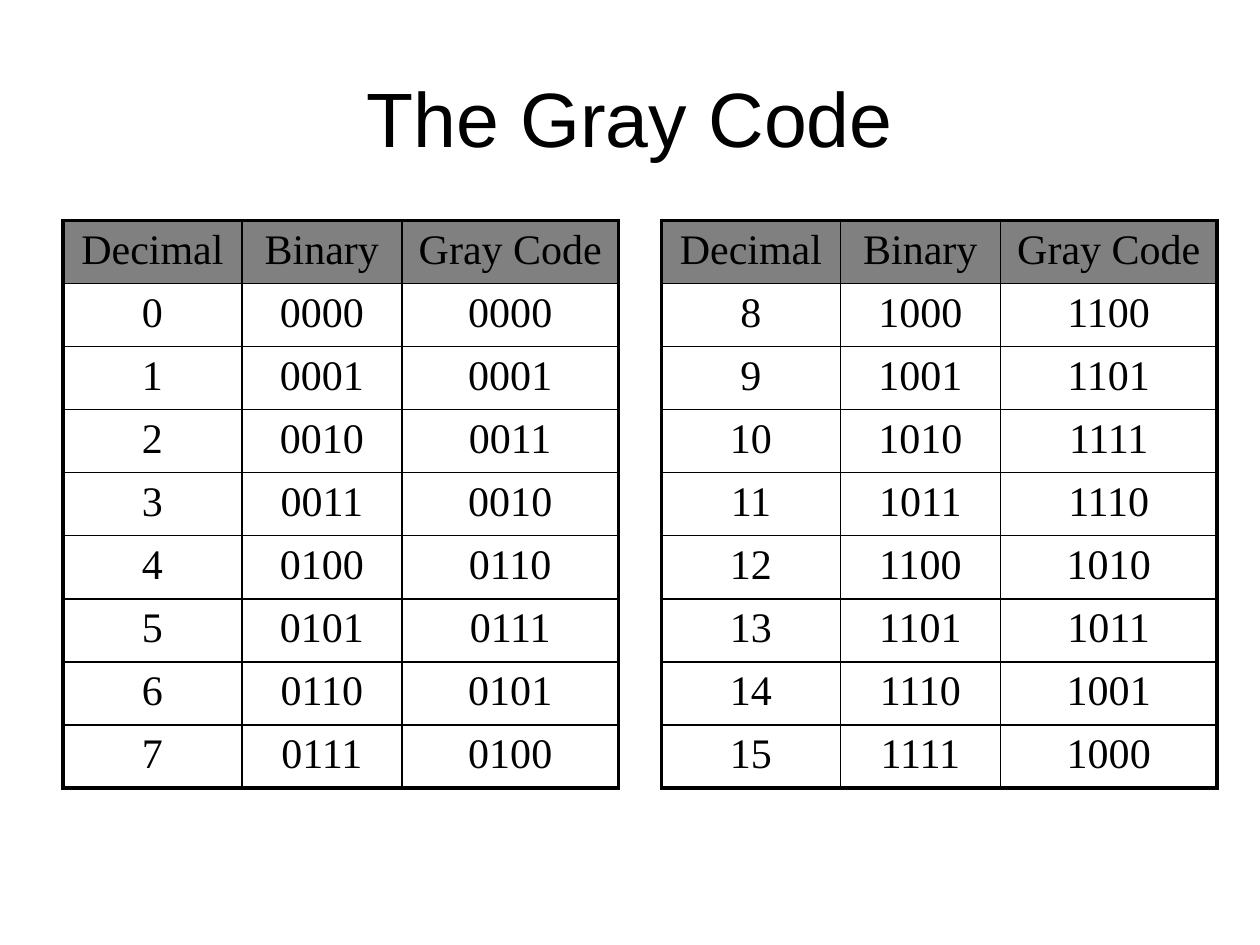
import pptx
import pptx.dml.color
import pptx.enum.text
import pptx.oxml.ns
import pptx.util
from lxml import etree
from pptx.util import Inches

COLOURS = {"text": "000000", "border": "000000", "header": "808080", "body": "FFFFFF"}
HEADERS = ["Decimal", "Binary", "Gray Code"]
COLUMN_WIDTHS = [1.42, 1.27, 1.72]
ROW_HEIGHT = 0.5
TABLE_TOP = 1.75
CODES_PER_TABLE = 8
THIN, THICK = 1, 2.25


def style_paragraph(para, font_name, size):
    para.alignment = pptx.enum.text.PP_ALIGN.CENTER
    para.font.name = font_name
    para.font.size = pptx.util.Pt(size)
    para.font.color.rgb = pptx.dml.color.RGBColor.from_string(COLOURS["text"])


def add_border(cell, side, width):
    properties = cell._tc.get_or_add_tcPr()
    line = etree.SubElement(properties, pptx.oxml.ns.qn(f"a:ln{side}"),
                            w=str(pptx.util.Pt(width)))
    fill = etree.SubElement(line, pptx.oxml.ns.qn("a:solidFill"))
    etree.SubElement(fill, pptx.oxml.ns.qn("a:srgbClr"), val=COLOURS["border"])


deck = pptx.Presentation()
deck.slide_width, deck.slide_height = Inches(10), Inches(7.5)
page = deck.slides.add_slide(deck.slide_layouts[6])

# Title
title = page.shapes.add_textbox(Inches(0.5), Inches(0.3), Inches(9), Inches(1.25))
title.text_frame.word_wrap = True
title.text_frame.vertical_anchor = pptx.enum.text.MSO_ANCHOR.MIDDLE
title.text_frame.text = "The Gray Code"
style_paragraph(title.text_frame.paragraphs[0], "Arial", 44)

# Two tables, each with eight consecutive codes
for left, first in [(0.5, 0), (5.25, CODES_PER_TABLE)]:
    rows = [HEADERS]
    for number in range(first, first + CODES_PER_TABLE):
        gray = number ^ (number >> 1)
        rows.append([str(number), f"{number:04b}", f"{gray:04b}"])

    table = page.shapes.add_table(
        len(rows), len(HEADERS), Inches(left), Inches(TABLE_TOP),
        Inches(sum(COLUMN_WIDTHS)), Inches(ROW_HEIGHT * len(rows))).table
    table.horz_banding = False
    table.first_row = False
    for column, width in zip(table.columns, COLUMN_WIDTHS):
        column.width = Inches(width)

    last_row, last_column = len(rows) - 1, len(HEADERS) - 1
    for r, values in enumerate(rows):
        table.rows[r].height = Inches(ROW_HEIGHT)
        for c, value in enumerate(values):
            cell = table.cell(r, c)
            cell.text = value
            style_paragraph(cell.text_frame.paragraphs[0], "Times New Roman", 24)

            # Thick outer frame, thin inner grid
            outer_sides = {"L": c == 0, "R": c == last_column,
                           "T": r == 0, "B": r == last_row}
            for side, is_outer in outer_sides.items():
                add_border(cell, side, THICK if is_outer else THIN)

            cell.fill.solid()
            cell.fill.fore_color.rgb = pptx.dml.color.RGBColor.from_string(
                COLOURS["header" if r == 0 else "body"])

deck.save("out.pptx")
